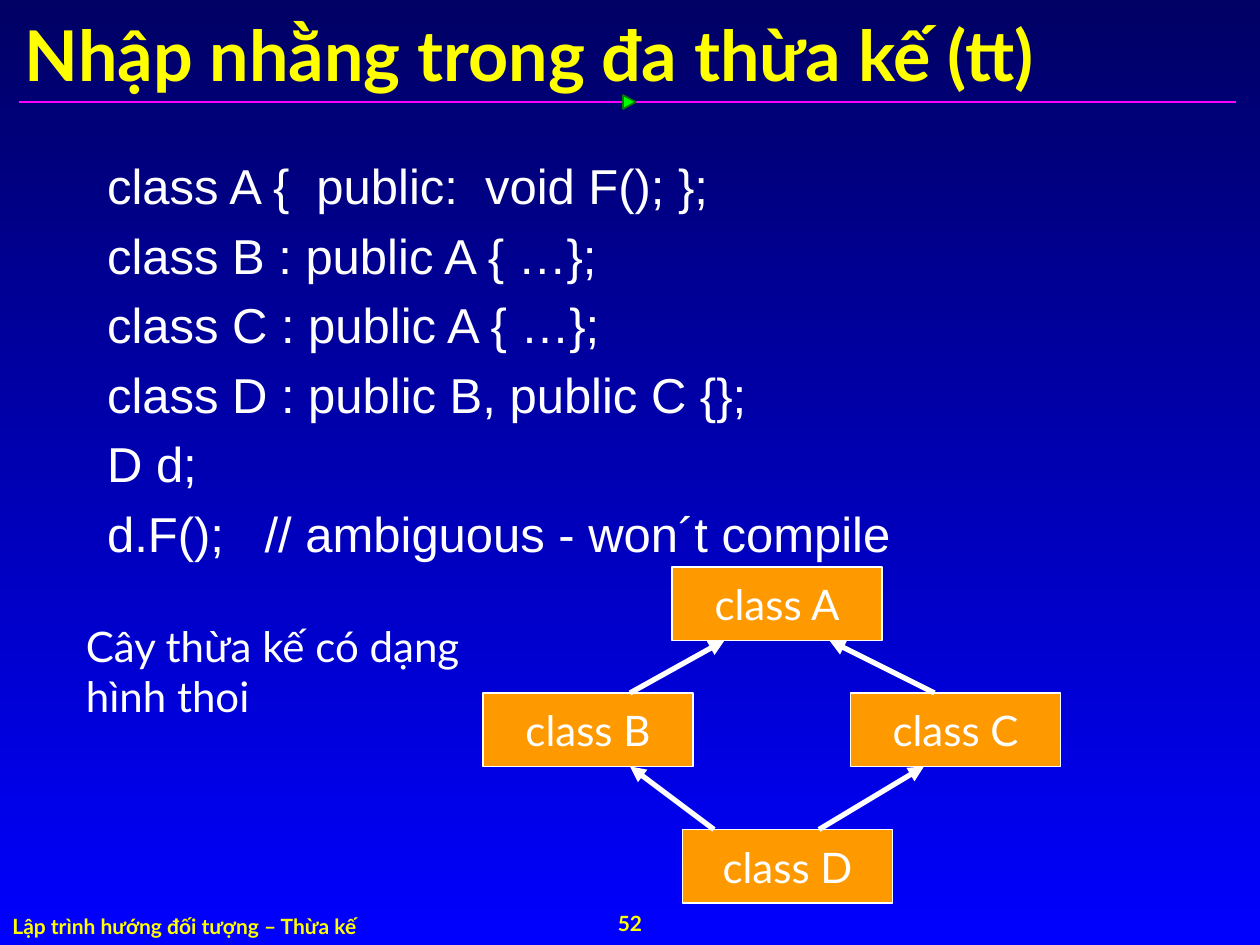
from lxml import etree
from pptx import Presentation
from pptx.dml.color import RGBColor
from pptx.enum import shapes, text
from pptx.oxml import ns
from pptx.util import Pt

WHITE = RGBColor(0xFF, 0xFF, 0xFF)
YELLOW = RGBColor(0xFF, 0xFF, 0x00)
ORANGE = RGBColor(0xFF, 0x99, 0x00)
MAGENTA = RGBColor(0xFF, 0x01, 0xFF)
GREEN = RGBColor(0x00, 0xFF, 0x00)
DARK_GREEN = RGBColor(0x03, 0x7C, 0x03)
NAVY = RGBColor(0x00, 0x00, 0x65)
BLUE = RGBColor(0x00, 0x00, 0xFF)


def write(shape, lines, size=24, font="Lato", color=WHITE, bold=False,
          align=text.PP_ALIGN.LEFT, anchor=text.MSO_ANCHOR.TOP, wrap=True,
          line_spacing=None, gap=0, hanging=None):
    frame = shape.text_frame
    frame.text = lines
    frame.word_wrap = wrap
    frame.auto_size = text.MSO_AUTO_SIZE.NONE
    frame.vertical_anchor = anchor
    for index, paragraph in enumerate(frame.paragraphs):
        paragraph.alignment = align
        paragraph.space_before = Pt(gap if index else 0)
        if line_spacing:
            paragraph.line_spacing = line_spacing
        if hanging:
            properties = paragraph._p.get_or_add_pPr()
            properties.set("marL", str(Pt(hanging)))
            properties.set("indent", str(-Pt(hanging)))
            etree.SubElement(properties, ns.qn("a:buNone"))
        for run in paragraph.runs:
            run.font.name = font
            run.font.size = Pt(size)
            run.font.bold = bold
            run.font.color.rgb = color


def connect(start, end, color, width, arrow=False):
    connector = slide.shapes.add_connector(
        shapes.MSO_CONNECTOR.STRAIGHT, *map(Pt, start + end))
    connector.line.color.rgb = color
    connector.line.width = Pt(width)
    if arrow:
        etree.SubElement(connector.line._get_or_add_ln(), ns.qn("a:tailEnd"), type="triangle")
    etree.SubElement(connector._element.spPr, ns.qn("a:effectLst"))


presentation = Presentation()
presentation.slide_width, presentation.slide_height = Pt(720), Pt(540)
slide = presentation.slides.add_slide(presentation.slide_layouts[1])

background = slide.background.fill
background.gradient()
background.gradient_angle = 270
for stop, position, color in zip(background.gradient_stops, (0, 1), (NAVY, BLUE)):
    stop.position = position
    stop.color.rgb = color

connect((10.8, 58.3), (706.3, 58.3), MAGENTA, 1)
marker = slide.shapes.add_shape(
    shapes.MSO_SHAPE.ISOSCELES_TRIANGLE, Pt(355.7), Pt(54.7), Pt(7.9), Pt(7.2))
marker.rotation = 90
marker.shadow.inherit = False
marker.fill.solid()
marker.fill.fore_color.rgb = GREEN
marker.line.color.rgb = DARK_GREEN
marker.line.width = Pt(1)

footer = slide.shapes.add_textbox(Pt(0), Pt(518.4), Pt(367), Pt(21.6))
write(footer, "Lập trình hướng đối tượng – Thừa kế", size=12, color=YELLOW, bold=True)
page_number = slide.shapes.add_textbox(Pt(246), Pt(516.2), Pt(228), Pt(23))
write(page_number, "52", size=12, color=YELLOW, bold=True, wrap=False,
      align=text.PP_ALIGN.CENTER, anchor=text.MSO_ANCHOR.MIDDLE)

title, code = slide.placeholders
title.left, title.top, title.width, title.height = Pt(7), Pt(9.7), Pt(708.5), Pt(42)
write(title, "Nhập nhằng trong đa thừa kế (tt)", size=40, color=YELLOW, bold=True,
      anchor=text.MSO_ANCHOR.MIDDLE)

code.left, code.top, code.width, code.height = Pt(54), Pt(90), Pt(612), Pt(324)
code_lines = [
    "class A {  public:  void F(); };",
    "class B : public A { …};",
    "class C : public A { …};",
    "class D : public B, public C {};",
    "D d;",
    "d.F();   // ambiguous - won´t compile",
]
write(code, "\n".join(code_lines), size=28, font="Arial",
      line_spacing=0.87, gap=10.5, hanging=27)

for name, left, top in [("A", 384, 324), ("B", 276, 396), ("C", 486, 396), ("D", 390, 474)]:
    box = slide.shapes.add_shape(
        shapes.MSO_SHAPE.RECTANGLE, Pt(left), Pt(top), Pt(120), Pt(42))
    box.shadow.inherit = False
    box.fill.solid()
    box.fill.fore_color.rgb = ORANGE
    box.line.color.rgb = WHITE
    box.line.width = Pt(0.75)
    write(box, f"class {name}", wrap=False, align=text.PP_ALIGN.CENTER,
          anchor=text.MSO_ANCHOR.MIDDLE)

for start, end in [((360, 396), (414, 366)), ((534, 396), (474, 366)),
                   ((408, 474), (360, 438)), ((468, 474), (528, 438))]:
    connect(start, end, WHITE, 3, arrow=True)

caption = slide.shapes.add_textbox(Pt(42), Pt(351), Pt(243), Pt(65))
write(caption, "Cây thừa kế có dạng\nhình thoi", wrap=False)

presentation.save("out.pptx")
